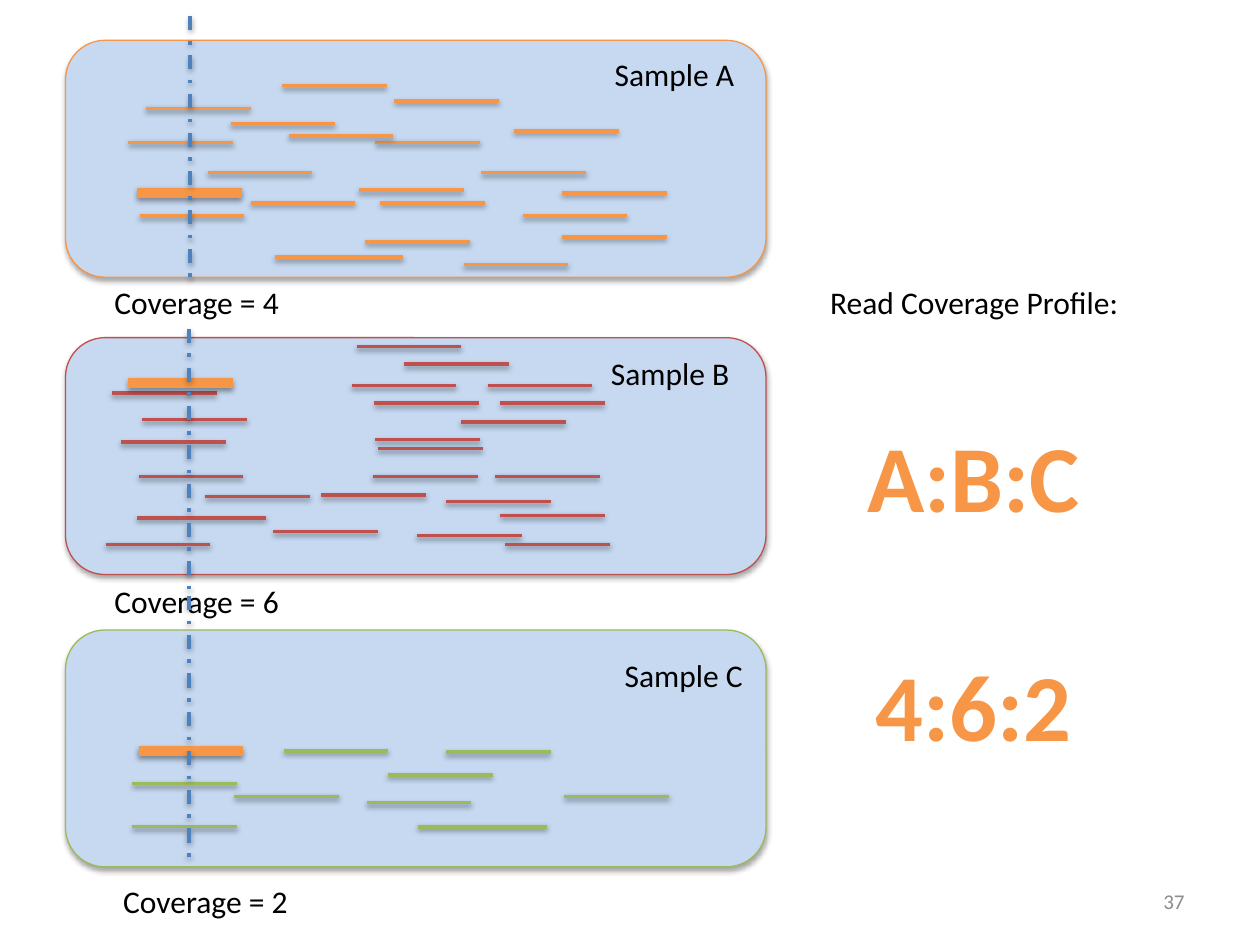
from dataclasses import dataclass

from lxml import etree
from pptx import Presentation
from pptx.dml.color import RGBColor
from pptx.enum import dml, shapes, text
from pptx.oxml import ns
from pptx.util import Inches, Pt


@dataclass(frozen=True)
class Theme:
    font: str = "Calibri"
    ink: str = "000000"
    muted: str = "8C8C8C"
    panel: str = "C6D9F1"
    guide: str = "4F81BD"
    orange: str = "F79646"
    red: str = "C0504D"
    green: str = "9BBB59"
    label: int = 18
    ratio: int = 54
    number: int = 12


THEME = Theme()
PANEL_X, PANEL_W, PANEL_H = 0.52, 5.56, 1.88
READ_W, LONG_READ_W, GUIDE_H = 0.83, 1.02, 2.15

# Places of reads, labels and guides are offsets from the panel's top left corner.
SAMPLES = [
    dict(
        name="Sample A", coverage="Coverage = 4", top=0.32, color=THEME.orange,
        name_at=(4.26, 0.07), coverage_at=(0.29, 1.88),
        guide_at=(0.99, -0.19), marker=(0.57, 1.21), long_read=(1.66, 1.72),
        reads=[
            (0.64, 0.54), (1.13, 1.05), (0.5, 0.81), (2.61, 0.48), (1.72, 0.36),
            (2.46, 0.81), (2.33, 1.19), (1.31, 0.66), (3.56, 0.72), (3.16, 1.78),
            (1.77, 0.76), (0.59, 1.39), (1.47, 1.29), (2.5, 1.29), (2.38, 1.6),
            (3.63, 1.39), (3.3, 1.05), (3.94, 1.56), (3.94, 1.21),
        ],
    ),
    dict(
        name="Sample B", coverage="Coverage = 6", top=2.68, color=THEME.red,
        name_at=(4.23, 0.08), coverage_at=(0.29, 1.89),
        guide_at=(0.98, -0.07), marker=(0.5, 0.36), long_read=(0.57, 1.43),
        reads=[
            (0.37, 0.44), (0.61, 0.65), (2.45, 0.52), (2.69, 0.21), (2.31, 0.07),
            (3.45, 0.52), (2.44, 1.1), (3.35, 0.38), (2.27, 0.38), (0.58, 1.1),
            (2.46, 0.81), (0.44, 0.83), (1.11, 1.26), (2.03, 1.25), (1.65, 1.54),
            (3.41, 1.1), (2.48, 0.88), (3.02, 1.3), (3.14, 0.67), (3.45, 1.41),
            (2.79, 1.57), (3.49, 1.64), (0.32, 1.64),
        ],
    ),
    dict(
        name="Sample C", coverage="Coverage = 2", top=5, color=THEME.green,
        name_at=(4.34, 0.16), coverage_at=(0.36, 1.95),
        guide_at=(0.98, -0.27), marker=(0.58, 0.96), long_read=(2.8, 1.56),
        reads=[
            (1.73, 0.96), (0.53, 1.22), (1.34, 1.32), (0.53, 1.56),
            (2.39, 1.37), (2.56, 1.15), (3.96, 1.32), (3.02, 0.97),
        ],
    ),
]


def rgb(color):
    return RGBColor.from_string(color)


def add_shadow(sp, alpha, distance):
    """Give a shape or connector a soft shadow straight below it."""
    pr = sp._element.spPr
    for old in pr.findall(ns.qn("a:effectLst")):
        pr.remove(old)
    effects = etree.SubElement(pr, ns.qn("a:effectLst"))
    shadow = etree.SubElement(
        effects, ns.qn("a:outerShdw"), blurRad=str(Pt(3.1)),
        dist=str(Pt(distance)), dir="5400000", rotWithShape="0")
    color = etree.SubElement(shadow, ns.qn("a:srgbClr"), val=THEME.ink)
    etree.SubElement(color, ns.qn("a:alpha"), val=str(alpha * 1000))


def add_line(s, x, y, dx, dy, color, width=2):
    sp = s.shapes.add_connector(
        shapes.MSO_CONNECTOR.STRAIGHT,
        Inches(x), Inches(y), Inches(x + dx), Inches(y + dy))
    sp.line.color.rgb = rgb(color)
    sp.line.width = Pt(width)
    add_shadow(sp, 38, 1.6)
    return sp


def add_text(s, box, words, size, color=THEME.ink, wrap=False, bold=False,
             align=text.PP_ALIGN.LEFT):
    tf = s.shapes.add_textbox(*map(Inches, box)).text_frame
    tf.word_wrap = wrap
    tf.text = words
    for p in tf.paragraphs:
        p.alignment = align
        for r in p.runs:
            r.font.name = THEME.font
            r.font.size = Pt(size)
            r.font.bold = bold
            r.font.color.rgb = rgb(color)
    return tf


def add_sample(s, box, sample):
    """Draw one sample panel with its reads, position guide and labels."""
    left, top, width, height = box
    color = sample["color"]

    def place(key):
        x, y = sample[key]
        return left + x, top + y

    sp = s.shapes.add_shape(
        shapes.MSO_SHAPE.ROUNDED_RECTANGLE, *map(Inches, (left, top, width, height)))
    sp.fill.solid()
    sp.fill.fore_color.rgb = rgb(THEME.panel)
    sp.line.color.rgb = rgb(color)
    sp.line.width = Pt(0.75)
    add_shadow(sp, 35, 1.8)

    for x, y in sample["reads"]:
        add_line(s, left + x, top + y, READ_W, 0, color)
    add_line(s, *place("long_read"), LONG_READ_W, 0, color, 2.25)
    add_line(s, *place("marker"), READ_W, 0, THEME.orange, 6)
    guide = add_line(s, *place("guide_at"), 0, GUIDE_H, THEME.guide)
    guide.line.dash_style = dml.MSO_LINE.DASH_DOT

    add_text(s, (*place("name_at"), 1.16, 0.4), sample["name"], THEME.label)
    add_text(s, (*place("coverage_at"), 1.53, 0.4), sample["coverage"], THEME.label)


def add_profile(s, box):
    """Write the heading and the two ratios below it."""
    left, top, width, height = box
    add_text(s, (left, top, width, 0.4), "Read Coverage Profile:", THEME.label, wrap=True)
    tf = add_text(
        s, (left + 0.29, top + 1.07, 1.9, height - 1.07), "A:B:C\n4:6:2", THEME.ratio,
        THEME.orange, bold=True, align=text.PP_ALIGN.CENTER)
    tf.paragraphs[1].space_before = Pt(66)


def add_slide_number(s, box):
    tf = add_text(s, box, "37", THEME.number, THEME.muted, wrap=True,
                  align=text.PP_ALIGN.RIGHT)
    tf.vertical_anchor = text.MSO_ANCHOR.MIDDLE


def main():
    prs = Presentation()
    prs.slide_width, prs.slide_height = Inches(10), Inches(7.5)
    s = prs.slides.add_slide(prs.slide_layouts[6])
    for sample in SAMPLES:
        add_sample(s, (PANEL_X, sample["top"], PANEL_W, PANEL_H), sample)
    add_profile(s, (6.49, 2.2, 2.89, 3.9))
    add_slide_number(s, (7.17, 6.95, 2.33, 0.4))
    prs.save("out.pptx")


if __name__ == "__main__":
    main()
